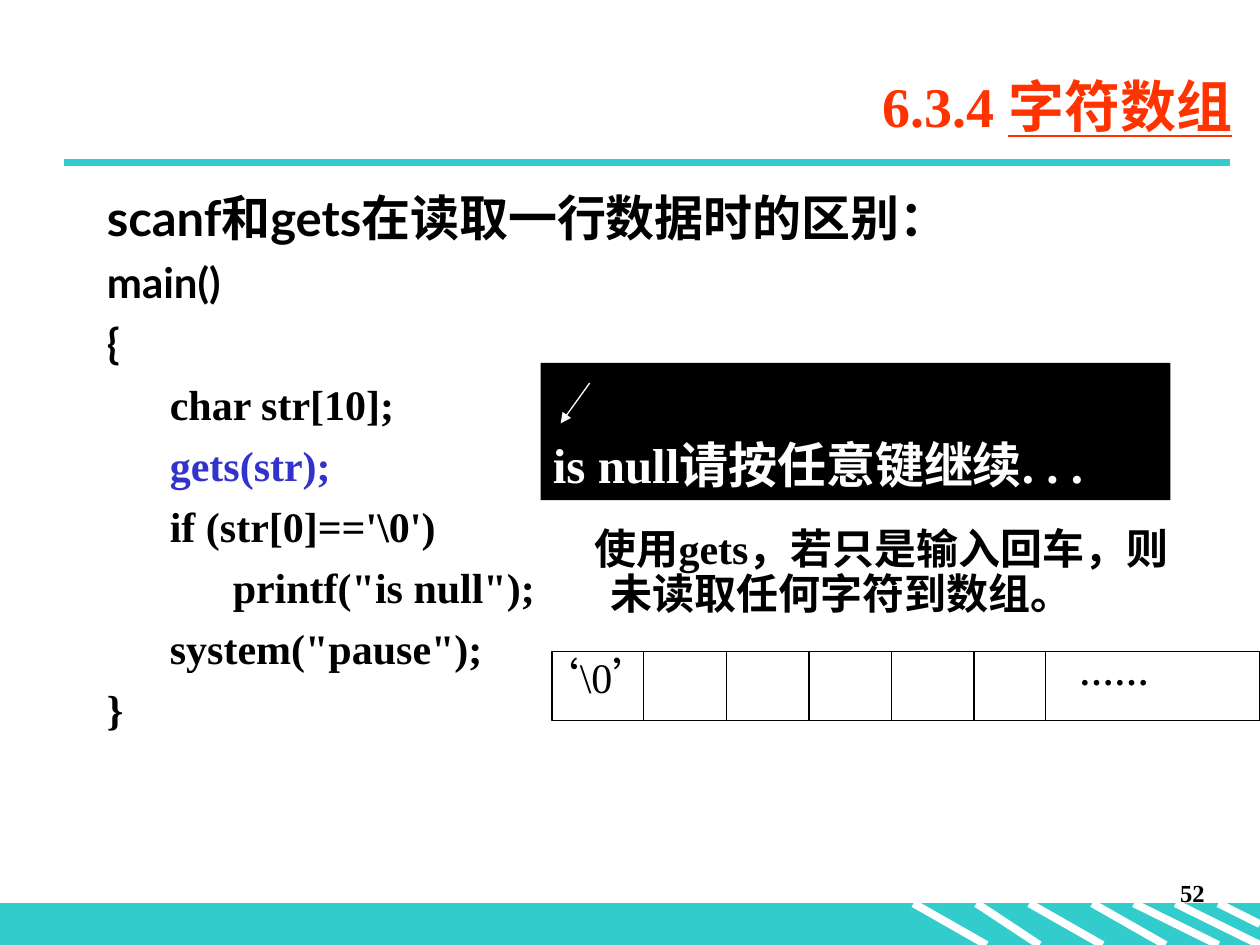
from lxml.etree import SubElement
from pptx import Presentation
from pptx.dml.color import RGBColor
from pptx.enum.shapes import MSO_CONNECTOR, MSO_SHAPE
from pptx.enum.text import MSO_ANCHOR, PP_ALIGN
from pptx.oxml.ns import qn
from pptx.util import Inches, Pt

TEAL = RGBColor(0x33, 0xCC, 0xCC)
ORANGE = RGBColor(0xFF, 0x33, 0x00)
BLUE = RGBColor(0x33, 0x33, 0xCC)
BLACK = RGBColor(0, 0, 0)
WHITE = RGBColor(0xFF, 0xFF, 0xFF)
SERIF, SANS, CJK = "Times New Roman", "Lato", "Noto Sans CJK SC"


def add_line(slide, start, end, color, width, arrow=False):
    line = slide.shapes.add_connector(
        MSO_CONNECTOR.STRAIGHT, *(Inches(value) for value in (*start, *end)))
    line.line.color.rgb = color
    line.line.width = Pt(width)
    properties = line._element.spPr
    if arrow:
        SubElement(properties.get_or_add_ln(), qn("a:tailEnd"), type="triangle")
    SubElement(properties, qn("a:effectLst"))


def add_rectangle(slide, box, fill, outline=None):
    shape = slide.shapes.add_shape(
        MSO_SHAPE.RECTANGLE, *(Inches(value) for value in box))
    shape.shadow.inherit = False
    shape.fill.solid()
    shape.fill.fore_color.rgb = fill
    if outline is None:
        shape.line.fill.background()
    else:
        shape.line.color.rgb = outline
        shape.line.width = Pt(0.75)
    return shape


def add_text_box(slide, box):
    text_box = slide.shapes.add_textbox(*(Inches(value) for value in box))
    text_box.text_frame.word_wrap = True
    return text_box.text_frame


def add_run(paragraph, text, size, font=SERIF, color=BLACK, bold=True):
    run = paragraph.add_run()
    run.text = text
    run.font.size = Pt(size)
    run.font.name = font
    run.font.bold = bold
    run.font.color.rgb = color
    SubElement(run._r.get_or_add_rPr(), qn("a:ea"), typeface=CJK)
    return run


def set_indent(paragraph, margin, first_line=0):
    properties = paragraph._p.get_or_add_pPr()
    properties.set("marL", str(Inches(margin)))
    properties.set("indent", str(Inches(first_line)))


def add_footer(slide, box):
    left, top, width, height = box
    right, bottom = left + width, top + height
    add_rectangle(slide, box, TEAL, TEAL)
    stripes = [(7.25, 7.83), (7.75, 8.25), (8.17, 8.75), (8.67, 9.25),
               (9, 9.67), (9.33, right)]
    for start, end in stripes:
        add_line(slide, (start, top), (end, bottom), WHITE, 4.5)
    add_line(slide, (9.67, top), (right, top + height / 2), WHITE, 4.5)
    paragraph = add_text_box(slide, (7.58, top - 0.25, 2.08, 0.5)).paragraphs[0]
    paragraph.alignment = PP_ALIGN.RIGHT
    add_run(paragraph, "52", 14)


def add_title(slide, box):
    frame = add_text_box(slide, box)
    frame.vertical_anchor = MSO_ANCHOR.MIDDLE
    paragraph = frame.paragraphs[0]
    paragraph.alignment = PP_ALIGN.RIGHT
    add_run(paragraph, "6.3.4 ", 32, color=ORANGE)
    add_run(paragraph, "字符数组", 32, color=ORANGE).font.underline = True
    add_line(slide, (0.51, 1.29), (9.76, 1.29), TEAL, 4.5)


def add_program(slide, box):
    frame = add_text_box(slide, box)
    add_run(frame.paragraphs[0], "scanf和gets在读取一行数据时的区别：", 28, SANS)
    code = [
        ("main()", 0, SANS, BLACK),
        ("{", 0, SANS, BLACK),
        ("char str[10];", 0.5, SERIF, BLACK),
        ("gets(str);", 0.5, SERIF, BLUE),
        ("if (str[0]=='\\0')", 0.5, SERIF, BLACK),
        ("      printf(\"is null\");", 0.5, SERIF, BLACK),
        ("system(\"pause\");", 0.5, SERIF, BLACK),
        ("}", 0, SERIF, BLACK),
    ]
    for text, margin, font, color in code:
        paragraph = frame.add_paragraph()
        set_indent(paragraph, margin)
        paragraph.space_before = Pt(6)
        add_run(paragraph, text, 24, font, color)


def add_console(slide, box):
    left, top = box[:2]
    frame = add_rectangle(slide, box, BLACK).text_frame
    frame.word_wrap = True
    frame.vertical_anchor = MSO_ANCHOR.BOTTOM
    paragraph = frame.paragraphs[0]
    paragraph.alignment = PP_ALIGN.LEFT
    paragraph.line_spacing = 0.9
    add_run(paragraph, "is null请按任意键继续. . .", 28, color=WHITE)
    add_line(slide, (left + 0.39, top + 0.16), (left + 0.16, top + 0.48),
             WHITE, 0.75, arrow=True)


def add_explanation(slide, box):
    paragraph = add_text_box(slide, box).paragraphs[0]
    set_indent(paragraph, 0.38, -0.13)
    paragraph.line_spacing = 0.9
    add_run(paragraph, "使用gets，若只是输入回车，则未读取任何字符到数组。", 24)


def add_array(slide, box):
    left, top, width, height = box
    add_rectangle(slide, box, WHITE, BLACK)
    dividers = [left + 0.73 + 0.655 * index for index in range(5)] + [8.3]
    for x in dividers:
        add_line(slide, (x, top), (x, top + height), BLACK, 0.75)

    first = add_text_box(slide, (left - 0.21, top, 1.3, 0.46)).paragraphs[0]
    rest = add_text_box(slide, (8.47, top + 0.07, 1.39, 0.4)).paragraphs[0]
    first.line_spacing = rest.line_spacing = 0.9
    for text, font in (("‘", CJK), ("\\0", SERIF), ("’", CJK)):
        add_run(first, text, 24, font, bold=False)
    add_run(rest, "……", 20, CJK)


def main():
    presentation = Presentation()
    presentation.slide_width = Inches(10)
    presentation.slide_height = Inches(7.5)
    slide = presentation.slides.add_slide(presentation.slide_layouts[6])
    add_footer(slide, (0, 7.17, 10, 0.33))
    add_title(slide, (1.38, 0.44, 8.5, 0.79))
    add_program(slide, (0.75, 1.44, 8.5, 5.46))
    add_console(slide, (4.29, 2.88, 5, 1.09))
    add_explanation(slide, (4.37, 4.14, 5.12, 0.82))
    add_array(slide, (4.38, 5.17, 5.62, 0.55))
    presentation.save("out.pptx")


if __name__ == "__main__":
    main()
